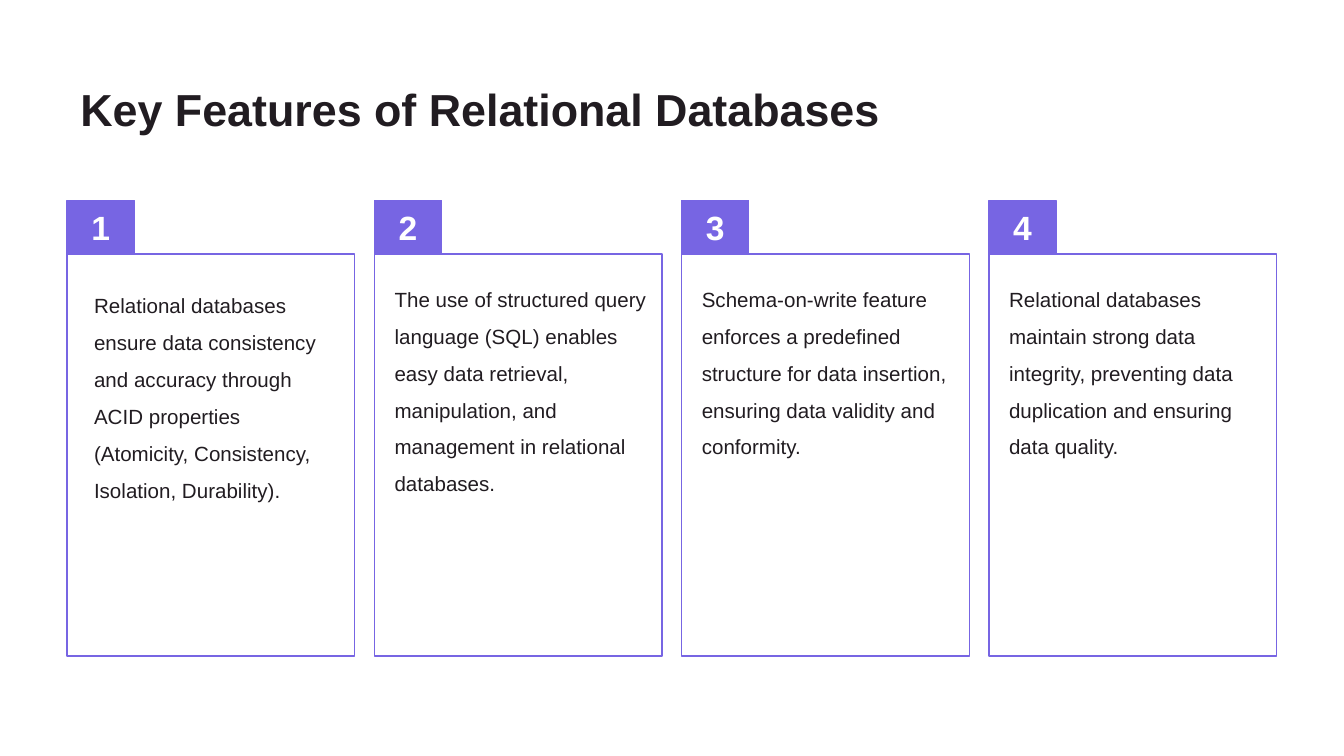
from dataclasses import dataclass

from lxml.etree import SubElement
from pptx import Presentation
from pptx.dml.color import RGBColor
from pptx.enum.shapes import MSO_SHAPE as Preset
from pptx.enum.text import MSO_ANCHOR as Anchor, PP_ALIGN as Align
from pptx.oxml.ns import qn
from pptx.shapes.autoshape import Shape
from pptx.slide import Slide
from pptx.util import Pt

PURPLE = "7765E3"
INK = "211C21"
WHITE = "FFFFFF"
LEFT = 36
PITCH = 164.6
CARD_WIDTH = 154.1
CARD_TOP = 136.1
CARD_HEIGHT = 215.3
BADGE_WIDTH = 36
BADGE_HEIGHT = 28.8


@dataclass(frozen=True)
class Insets:
    left: float
    top: float
    right: float
    bottom: float


@dataclass(frozen=True)
class Feature:
    text: str
    insets: Insets = Insets(10.8, 10.8, 7.2, 7.2)


FEATURES = [
    Feature(
        "Relational databases ensure data consistency and accuracy through ACID "
        "properties (Atomicity, Consistency, Isolation, Durability).",
        Insets(14.4, 14.4, 14.4, 7.2),
    ),
    Feature(
        "The use of structured query language (SQL) enables easy data retrieval, "
        "manipulation, and management in relational databases."
    ),
    Feature(
        "Schema-on-write feature enforces a predefined structure for data insertion, "
        "ensuring data validity and conformity."
    ),
    Feature(
        "Relational databases maintain strong data integrity, preventing data "
        "duplication and ensuring data quality."
    ),
]


def color(value: str) -> RGBColor:
    return RGBColor.from_string(value)


def write(shape: Shape, text: str, size: float, ink: str, bold: bool,
          insets: Insets, anchor: Anchor, align: Align) -> None:
    frame = shape.text_frame
    frame.word_wrap = True
    frame.vertical_anchor = anchor
    frame.margin_left, frame.margin_top = Pt(insets.left), Pt(insets.top)
    frame.margin_right, frame.margin_bottom = Pt(insets.right), Pt(insets.bottom)
    frame.text = text
    paragraph = frame.paragraphs[0]
    paragraph.alignment = align
    font = paragraph.runs[0].font
    font.name, font.size, font.bold = "Arial", Pt(size), bold
    font.color.rgb = color(ink)


def add_box(slide: Slide, left: float, top: float, width: float, height: float,
            fill: str) -> Shape:
    box = slide.shapes.add_shape(Preset.RECTANGLE, Pt(left), Pt(top), Pt(width), Pt(height))
    box.shadow.inherit = False
    box.fill.solid()
    box.fill.fore_color.rgb = color(fill)
    box.line.color.rgb = color(PURPLE)
    box.line.width = Pt(0.75)
    return box


def add_badge(slide: Slide, left: float, number: int) -> None:
    badge = add_box(slide, left, CARD_TOP - BADGE_HEIGHT, BADGE_WIDTH, BADGE_HEIGHT, PURPLE)
    write(badge, str(number), 18, WHITE, True, Insets(0, 7.2, 0, 7.2),
          Anchor.MIDDLE, Align.CENTER)


def add_card(slide: Slide, left: float, feature: Feature) -> None:
    card = add_box(slide, left, CARD_TOP, CARD_WIDTH, CARD_HEIGHT, WHITE)
    tint = card._element.spPr.find(qn("a:solidFill")).find(qn("a:srgbClr"))
    SubElement(tint, qn("a:alpha")).set("val", "10000")
    write(card, feature.text, 11, INK, False, feature.insets, Anchor.TOP, Align.LEFT)
    paragraph = card.text_frame.paragraphs[0]
    paragraph.line_spacing = 1.5
    paragraph.space_after = Pt(10)


def main() -> None:
    deck = Presentation()
    deck.slide_width, deck.slide_height = Pt(720), Pt(405)
    slide = deck.slides.add_slide(deck.slide_layouts[6])

    title = slide.shapes.add_textbox(Pt(LEFT), Pt(35.3), Pt(648), Pt(45.4))
    write(title, "Key Features of Relational Databases", 24, INK, True,
          Insets(7.2, 7.2, 7.2, 7.2), Anchor.MIDDLE, Align.LEFT)

    for index, feature in enumerate(FEATURES):
        left = LEFT + index * PITCH
        add_badge(slide, left, index + 1)
        add_card(slide, left, feature)

    deck.save("out.pptx")


if __name__ == "__main__":
    main()
